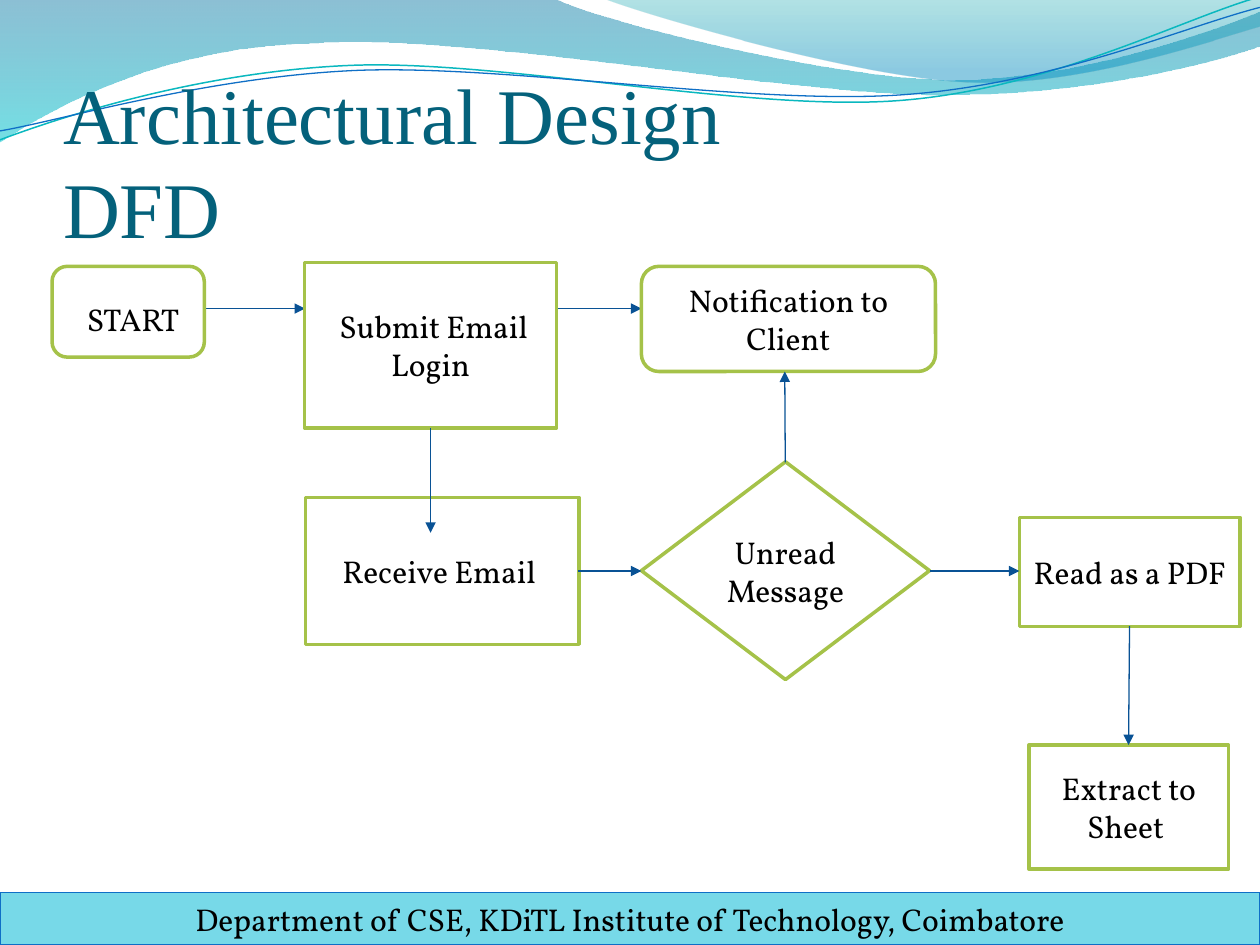
from pptx import Presentation
from pptx.dml.color import RGBColor
from pptx.enum.shapes import MSO_CONNECTOR, MSO_SHAPE
from pptx.enum.text import MSO_ANCHOR, MSO_AUTO_SIZE, PP_ALIGN
from pptx.oxml.ns import qn
from pptx.util import Cm, Pt
from lxml.etree import SubElement


def color(hex_string):
    return RGBColor.from_string(hex_string)


class FlowSlide:
    title_font = "Times New Roman"
    body_font = "Vollkorn"
    title_color = "04617B"
    text_color = "000000"
    box_line = "A5C249"
    arrow_color = "095295"
    text_size = 18

    def __init__(self, presentation):
        self.slide = presentation.slides.add_slide(presentation.slide_layouts[5])
        self.shapes = self.slide.shapes

    def freeform(self, start, segments, close):
        points = [(Cm(x), Cm(y)) for segment in segments for x, y in segment]
        builder = self.shapes.build_freeform(Cm(start[0]), Cm(start[1]), scale=1.0)
        builder.add_line_segments(points, close=close)
        shape = builder.convert_to_shape()
        shape.shadow.inherit = False
        outline = next(shape.element.iter(qn("a:path")))
        lines = iter(outline.findall(qn("a:lnTo")))
        for segment in segments:
            first = next(lines)
            if len(segment) == 3:
                first.tag = qn("a:cubicBezTo")
                for line in (next(lines), next(lines)):
                    first.append(line[0])
                    outline.remove(line)
        return shape

    def wave(self, start, segments, stops):
        shape = self.freeform(start, segments, True)
        shape.line.fill.background()
        shape.fill.gradient()
        shape.fill.gradient_angle = 270
        for stop, (position, hex_string, opacity) in zip(shape.fill.gradient_stops, stops):
            stop.position = position
            stop.color.rgb = color(hex_string)
        elements = shape.element.spPr.iter(qn("a:srgbClr"))
        for element, (position, hex_string, opacity) in zip(elements, stops):
            SubElement(element, qn("a:alpha"), val=str(opacity * 1000))

    def strand(self, start, segments, hex_string, width):
        shape = self.freeform(start, segments, False)
        shape.fill.background()
        shape.line.color.rgb = color(hex_string)
        shape.line.width = Pt(width)

    def title(self, text, left, top, width, height):
        title = self.shapes.title
        title.element.getparent().append(title.element)
        title.left, title.top, title.width, title.height = map(Cm, (left, top, width, height))
        frame = title.text_frame
        frame.text = text
        frame.word_wrap = True
        frame.auto_size = MSO_AUTO_SIZE.NONE
        frame.vertical_anchor = MSO_ANCHOR.BOTTOM
        frame.margin_left = frame.margin_right = frame.margin_bottom = 0
        frame.margin_top = Cm(0.13)
        paragraph = frame.paragraphs[0]
        paragraph.alignment = PP_ALIGN.LEFT
        for run in paragraph.runs:
            run.font.size = Pt(45)
            run.font.name = self.title_font
            run.font.color.rgb = color(self.title_color)

    def box(self, kind, position, text, fill="FFFFFF", line=box_line, line_width=2, lead_size=None):
        shape = self.shapes.add_shape(kind, *map(Cm, position))
        shape.shadow.inherit = False
        shape.fill.solid()
        shape.fill.fore_color.rgb = color(fill)
        shape.line.color.rgb = color(line)
        shape.line.width = Pt(line_width)
        frame = shape.text_frame
        frame.word_wrap = True
        frame.vertical_anchor = MSO_ANCHOR.MIDDLE
        paragraph = frame.paragraphs[0]
        paragraph.alignment = PP_ALIGN.CENTER
        parts = [(text, self.text_size)]
        if lead_size:
            parts = [(text[0], lead_size), (text[1:], self.text_size)]
        for part, size in parts:
            run = paragraph.add_run()
            run.text = part
            run.font.size = Pt(size)
            run.font.name = self.body_font
            run.font.color.rgb = color(self.text_color)

    def arrow(self, start, end):
        connector = self.shapes.add_connector(MSO_CONNECTOR.STRAIGHT, *map(Cm, (*start, *end)))
        connector.line.color.rgb = color(self.arrow_color)
        connector.line.width = Pt(0.75)
        properties = connector.element.spPr
        SubElement(properties.find(qn("a:ln")), qn("a:tailEnd"), type="triangle")
        SubElement(properties, qn("a:effectLst"))


def main():
    presentation = Presentation()
    presentation.slide_width = Cm(25.4)
    presentation.slide_height = Cm(19.05)
    flow = FlowSlide(presentation)

    flow.wave((0, 0), [
        [(11.18, -0.03)],
        [(12.09, 0.43), (16.87, 1.6), (19.25, 1.6)],
        [(21.67, 1.6), (24.33, 0.66), (25.4, 0.23)],
        [(25.43, 0.91)],
        [(24.97, 1.12), (22.1, 1.93), (18.95, 1.91)],
        [(15.8, 1.91), (9.7, 0.71), (6.53, 0.86)],
        [(3.28, 0.91), (1.17, 2.11), (-0.03, 2.87)],
    ], [(0, "0074A1", 45), (1, "00C6CF", 55)])
    flow.wave((12.17, -0.03), [
        [(12.93, 0.28), (17.32, 1.57), (19.53, 1.65)],
        [(21.74, 1.75), (24.41, 0.81), (25.4, 0.53)],
        [(25.4, 0)],
    ], [(0, "00A1A9", 30), (0.8, "008BBF", 45)])
    flow.strand((0, 2.82), [
        [(1.22, 2.36), (4.01, 1.45), (7.04, 1.32)],
        [(10.03, 1.19), (15.06, 2.26), (18.11, 2.03)],
        [(21.16, 1.8), (23.83, 0.38), (25.35, -0.05)],
    ], "0AB8BF", 0.85)
    flow.strand((0, 2.64), [
        [(1.19, 2.44), (4.17, 1.55), (7.19, 1.42)],
        [(10.24, 1.3), (15.16, 2.13), (18.21, 1.91)],
        [(21.23, 1.7), (23.9, 0.53), (25.4, 0.15)],
    ], "0F6FC6", 0.75)

    flow.title("Architectural Design\vDFD", 1.27, 1.95, 22.86, 3.18)
    flow.box(MSO_SHAPE.RECTANGLE, (0, 17.99, 25.4, 1.06),
             "Department of CSE, KDiTL Institute of Technology, Coimbatore",
             fill="77D9E8", line="0F6FC6", line_width=0.75)

    flow.arrow((3.4, 6.22), (6.15, 6.22))
    flow.arrow((11.23, 6.22), (12.93, 6.22))

    flow.box(MSO_SHAPE.ROUNDED_RECTANGLE, (1.05, 5.37, 3.07, 1.83), " START", lead_size=28)
    for kind, position, text in (
        (MSO_SHAPE.RECTANGLE, (6.14, 5.29, 5.08, 3.34), " Submit Email Login"),
        (MSO_SHAPE.RECTANGLE, (6.16, 10.03, 5.51, 2.96), "Receive Email "),
        (MSO_SHAPE.ROUNDED_RECTANGLE, (12.93, 5.37, 5.93, 2.12), "Notification to Client"),
        (MSO_SHAPE.DIAMOND, (12.93, 9.31, 5.81, 4.39), "Unread Message"),
        (MSO_SHAPE.RECTANGLE, (20.74, 15.02, 4.03, 2.5), "Extract to Sheet "),
        (MSO_SHAPE.RECTANGLE, (20.55, 10.43, 4.45, 2.2), "Read as a PDF"),
    ):
        flow.box(kind, position, text)

    for start, end in (
        ((8.68, 8.63), (8.68, 10.74)),
        ((11.66, 11.51), (12.93, 11.51)),
        ((18.75, 11.51), (20.55, 11.51)),
        ((15.83, 9.32), (15.82, 7.49)),
        ((22.77, 12.62), (22.75, 15.02)),
    ):
        flow.arrow(start, end)

    presentation.save("out.pptx")


if __name__ == "__main__":
    main()
